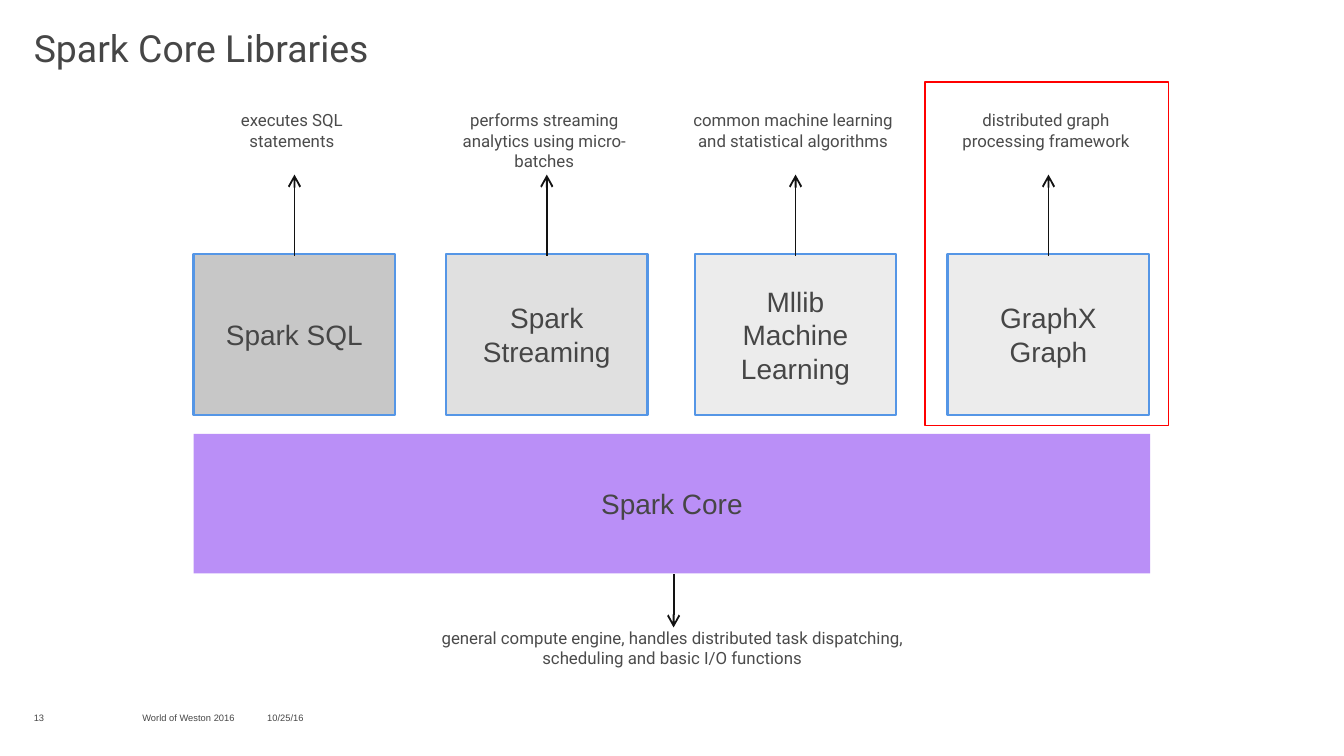
import pptx
import pptx.dml.color
import pptx.enum.shapes
import pptx.enum.text
import pptx.oxml
import pptx.oxml.ns
import pptx.util
from pptx.util import Cm

COLORS = {
    "text": "464646",
    "caption": "4B4B4B",
    "arrow": "121212",
    "border": "5596E6",
    "highlight": "FF0000",
    "core": "BA8FF7",
    "sql": "C7C7C7",
    "streaming": "E0E0E0",
    "light": "ECECEC",
}
ANCHOR = pptx.enum.text.MSO_ANCHOR
ALIGN = pptx.enum.text.PP_ALIGN


def rgb(name):
    return pptx.dml.color.RGBColor.from_string(COLORS[name])


class SlideBuilder:
    def __init__(self, s):
        self.s = s

    def set_text(self, shape, text, size, font, color, align, anchor, margins):
        tf = shape.text_frame
        tf.word_wrap = True
        tf.vertical_anchor = anchor
        tf.margin_left = 0
        tf.margin_right, tf.margin_top, tf.margin_bottom = map(Cm, margins)
        tf.text = text
        for p in tf.paragraphs:
            p.alignment = align
            for r in p.runs:
                r.font.size = pptx.util.Pt(size)
                r.font.name = font
                r.font.color.rgb = rgb(color)

    def label(self, text, x, y, w, h, size, font="Arial", color="text",
              align=ALIGN.LEFT, anchor=ANCHOR.TOP, right=0):
        sp = self.s.shapes.add_textbox(Cm(x), Cm(y), Cm(w), Cm(h))
        self.set_text(sp, text, size, font, color, align, anchor, (right, 0, 0))

    def caption(self, text, center, y, w, h):
        self.label(text, center - w / 2, y, w, h, 9, "Roboto", "caption",
                   ALIGN.CENTER, right=0.1)

    def box(self, x, y, w, h, text="", fill=None, line=None, width=1.25):
        sp = self.s.shapes.add_shape(
            pptx.enum.shapes.MSO_SHAPE.RECTANGLE, Cm(x), Cm(y), Cm(w), Cm(h))
        sp.shadow.inherit = False
        if fill:
            sp.fill.solid()
            sp.fill.fore_color.rgb = rgb(fill)
        else:
            sp.fill.background()
        if line:
            sp.line.color.rgb = rgb(line)
            sp.line.width = pptx.util.Pt(width)
        else:
            sp.line.fill.background()
        if text:
            self.set_text(sp, text, 15, "Arial", "text", ALIGN.CENTER,
                          ANCHOR.MIDDLE, (0, 0.05, 0.05))

    def arrow(self, x, start, end):
        c = self.s.shapes.add_connector(
            pptx.enum.shapes.MSO_CONNECTOR.STRAIGHT,
            Cm(x), Cm(start), Cm(x), Cm(end))
        c.line.color.rgb = rgb("arrow")
        c.line.width = pptx.util.Pt(1)
        ns = pptx.oxml.ns.nsdecls("a")
        props = c.element.spPr
        props.find(pptx.oxml.ns.qn("a:ln")).append(
            pptx.oxml.parse_xml(f'<a:tailEnd {ns} type="arrow"/>'))
        props.append(pptx.oxml.parse_xml(f"<a:effectLst {ns}/>"))


def main():
    prs = pptx.Presentation()
    prs.slide_width, prs.slide_height = Cm(25.4), Cm(14.29)
    b = SlideBuilder(prs.slides.add_slide(prs.slide_layouts[6]))

    b.label("Spark Core Libraries", 0.64, 0.48, 11.81, 1.07, 20, "Roboto")
    footers = [("13", 0.64, 1.27), ("World of Weston 2016", 2.69, 2.36),
               ("10/25/16", 5.05, 2.54)]
    for text, x, w in footers:
        b.label(text, x, 13.11, w, 0.56, 5, anchor=ANCHOR.BOTTOM)

    box_w, box_h, box_top = 3.81, 3.05, 4.8
    libraries = [
        (3.66, "Spark SQL", "sql", "executes SQL statements", 3.02),
        (8.43, "Spark Streaming", "streaming",
         "performs streaming analytics using micro-batches", 3.45),
        (13.13, "Mllib\nMachine Learning", "light",
         "common machine learning and statistical algorithms", 4.19),
        (17.91, "GraphX\nGraph", "light",
         "distributed graph processing framework", 3.68),
    ]
    for x, name, fill, purpose, caption_w in libraries:
        center = x + box_w / 2
        b.box(x, box_top, box_w, box_h, name, fill, "border")
        b.caption(purpose, center, 2.08, caption_w, 1.3)
        b.arrow(center, box_top + 0.03, 3.3)

    b.box(3.66, 8.2, 18.08, 2.64, "Spark Core", "core")
    b.arrow(12.73, 10.85, 11.86)
    b.caption("general compute engine, handles distributed task dispatching, "
              "scheduling and basic I/O functions", 12.75, 11.86, 9.09, 0.86)
    b.box(17.48, 1.55, 4.6, 6.5, line="highlight", width=0.75)

    prs.save("out.pptx")


if __name__ == "__main__":
    main()
